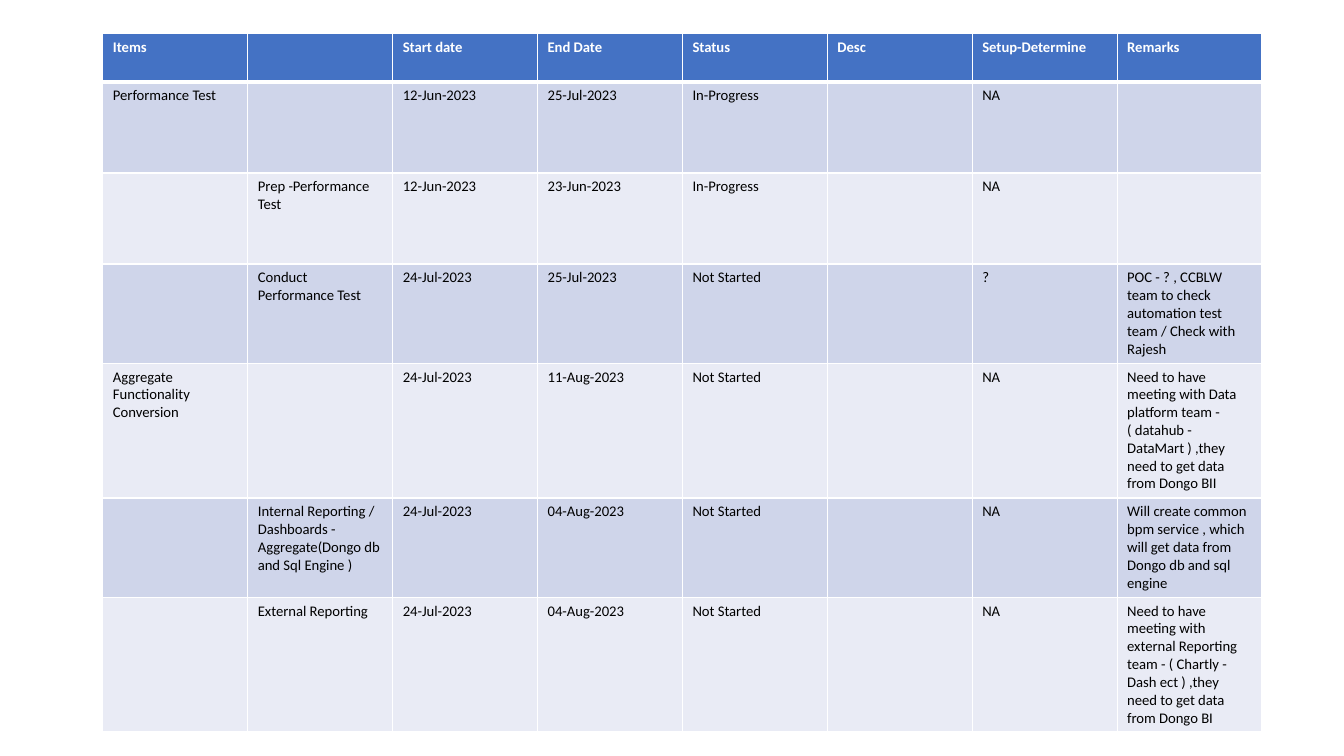
from pptx import Presentation
from pptx.dml.color import RGBColor
from pptx.oxml.ns import qn
from pptx.util import Pt
from lxml.etree import SubElement

HEADERS = ["Items", "", "Start date", "End Date", "Status", "Desc", "Setup-Determine", "Remarks"]
TASKS = [
    ["Performance Test", "", "12-Jun-2023", "25-Jul-2023", "In-Progress", "", "NA", ""],
    ["", "Prep -Performance Test", "12-Jun-2023", "23-Jun-2023", "In-Progress", "", "NA", ""],
    ["", "Conduct Performance Test", "24-Jul-2023", "25-Jul-2023", "Not Started", "", "?",
     "POC - ? , CCBLW team to check automation test team / Check with Rajesh"],
    ["Aggregate Functionality Conversion", "", "24-Jul-2023", "11-Aug-2023", "Not Started", "", "NA",
     "Need to have meeting with Data platform team - ( datahub - DataMart ) ,"
     "they need to get data from Dongo BII"],
    ["", "Internal Reporting / Dashboards - Aggregate(Dongo db and Sql Engine )",
     "24-Jul-2023", "04-Aug-2023", "Not Started", "", "NA",
     "Will create common bpm service , which will get data from Dongo db and sql engine"],
    ["", "External Reporting", "24-Jul-2023", "04-Aug-2023", "Not Started", "", "NA",
     "Need to have meeting with external Reporting team - ( Chartly - Dash ect ) ,"
     "they need to get data from Dongo BI"],
]
ROW_HEIGHTS = [34.5, 65, 65, 65, 76.5, 62.5, 36.5]


def color(hex_string):
    return RGBColor.from_string(hex_string)


def write_text(cell, text, font="Calibri", size=10.5, text_color="000000", bold=False):
    paragraph = cell.text_frame.paragraphs[0]
    paragraph.font.size = Pt(size)
    if text:
        run = paragraph.add_run()
        run.text = text
        run.font.name = font
        run.font.size = Pt(size)
        run.font.bold = bold
        run.font.color.rgb = color(text_color)


class SlideBuilder:
    header_fill = "4472C4"
    band_fills = ["CFD5EA", "E9EBF5"]
    border_color = "FFFFFF"

    def __init__(self, slide):
        self.slide = slide

    def border(self, cell, side, width):
        properties = cell._tc.get_or_add_tcPr()
        line = SubElement(properties, qn(f"a:{side}"), w=str(Pt(width)))
        fill = SubElement(line, qn("a:solidFill"))
        SubElement(fill, qn("a:srgbClr"), val=self.border_color)

    def cell(self, cell, text, row_index):
        is_header = row_index == 0
        widths = {
            "lnL": 1,
            "lnR": 1,
            "lnT": 3 if row_index == 1 else 1,
            "lnB": 3 if is_header else 1,
        }
        for side, width in widths.items():
            self.border(cell, side, width)
        cell.fill.solid()
        fill = self.header_fill if is_header else self.band_fills[(row_index - 1) % 2]
        cell.fill.fore_color.rgb = color(fill)
        write_text(cell, text, bold=is_header, text_color="FFFFFF" if is_header else "000000")

    def table(self, rows, row_heights, left, top, width):
        shape = self.slide.shapes.add_table(
            len(rows), len(rows[0]), Pt(left), Pt(top), Pt(width), Pt(sum(row_heights)))
        table = shape.table
        for row_index, (texts, height) in enumerate(zip(rows, row_heights)):
            table.rows[row_index].height = Pt(height)
            for column_index, text in enumerate(texts):
                self.cell(table.cell(row_index, column_index), text, row_index)


def main():
    presentation = Presentation()
    presentation.slide_width = Pt(960)
    presentation.slide_height = Pt(540)
    slide = presentation.slides.add_slide(presentation.slide_layouts[6])
    builder = SlideBuilder(slide)
    builder.table([HEADERS] + TASKS, ROW_HEIGHTS, left=73.5, top=24, width=828)
    presentation.save("out.pptx")


if __name__ == "__main__":
    main()
